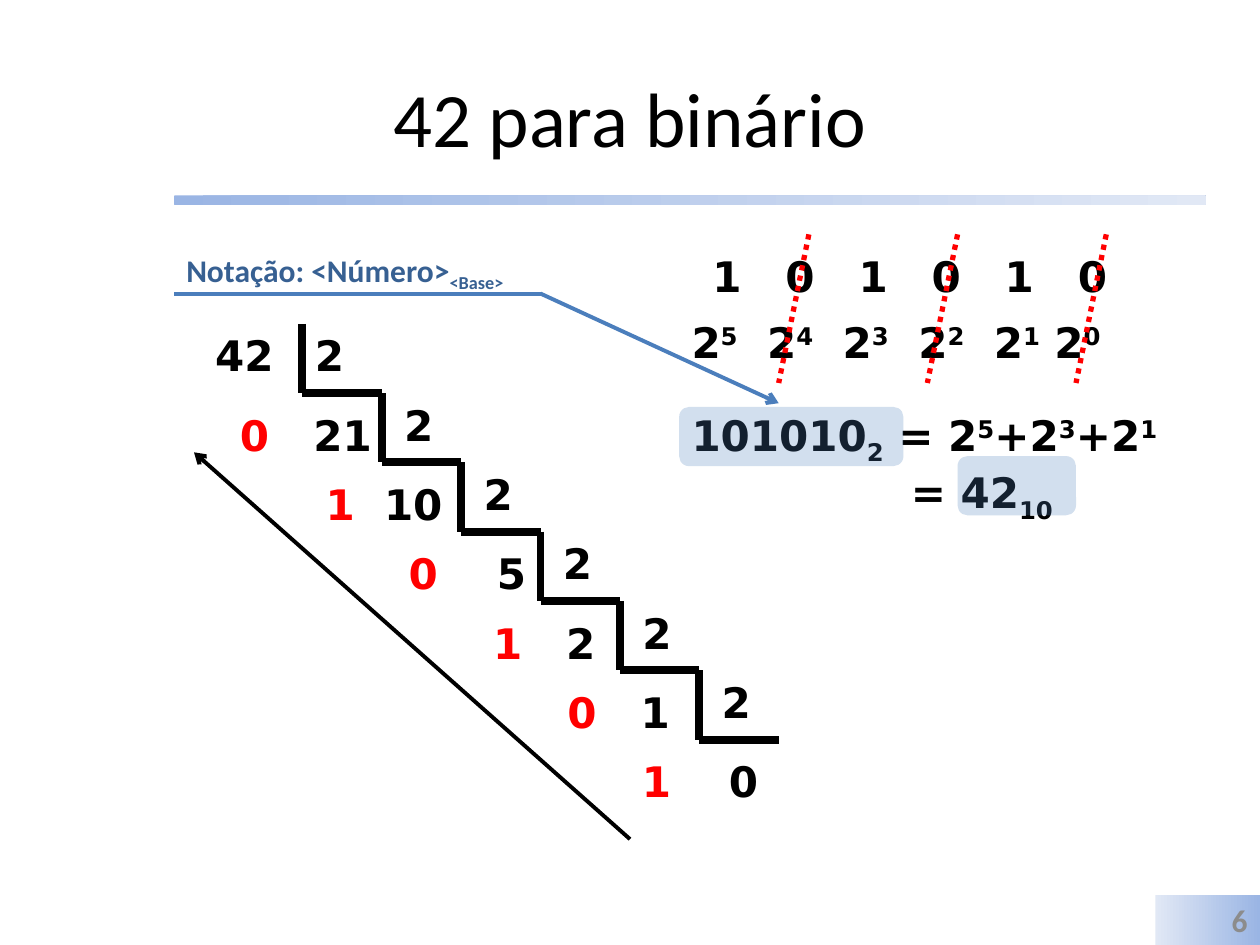
from typing import NamedTuple

from lxml.etree import SubElement
from pptx import Presentation
from pptx.dml.color import RGBColor
from pptx.enum.dml import MSO_LINE
from pptx.enum.shapes import MSO_CONNECTOR, MSO_SHAPE
from pptx.enum.text import MSO_ANCHOR, PP_ALIGN
from pptx.oxml.ns import qn
from pptx.util import Inches, Pt

BLACK, RED, BLUE = "000000", "FF0000", "4F81BD"
DARK_BLUE, LINE_BLUE = "376092", "4B7EBC"
BAR_DARK, BAR_LIGHT = "9AB5E4", "E1E8F5"
BODY_FONT, TITLE_FONT = "DejaVu Sans", "Calibri"

# Staircase grid: each division moves one column right and one row down
STAIR_LEFT, STAIR_TOP = 2.4, 2.57
COLUMN, ROW = 0.63, 0.55
TEXT_HEIGHT = 0.5


class Box(NamedTuple):
    left: float
    top: float
    width: float
    height: float


class Run(NamedTuple):
    text: str
    baseline: int = 0  # percent of the text size


class Division(NamedTuple):
    remainder: str
    remainder_center: float
    quotient: str
    quotient_center: float


DIVISIONS = [
    Division("0", 2.02, "21", 2.72),
    Division("1", 2.7, "10", 3.28),
    Division("0", 3.36, "5", 4.06),
    Division("1", 4.03, "2", 4.61),
    Division("0", 4.62, "1", 5.2),
    Division("1", 5.21, "0", 5.9),
]


def color(value: str) -> RGBColor:
    return RGBColor.from_string(value)


def fill_paragraph(paragraph, runs: list[Run], size: float, fill: str,
                   font: str, bold: bool, align) -> None:
    paragraph.alignment = align
    paragraph.font.size = Pt(size)
    paragraph.font.name = font
    paragraph.font.bold = bold
    paragraph.font.color.rgb = color(fill)
    for part in runs:
        run = paragraph.add_run()
        run.text = part.text
        if part.baseline:
            run.font._element.set("baseline", str(part.baseline * 1000))


def add_text(slide, box: Box, *lines: list[Run], size: float = 24,
             fill: str = BLACK, font: str = BODY_FONT, bold: bool = True,
             align=PP_ALIGN.LEFT, anchor=MSO_ANCHOR.TOP, wrap: bool = True):
    shape = slide.shapes.add_textbox(*map(Inches, box))
    frame = shape.text_frame
    frame.word_wrap = wrap
    frame.vertical_anchor = anchor
    for index, runs in enumerate(lines):
        paragraph = frame.add_paragraph() if index else frame.paragraphs[0]
        fill_paragraph(paragraph, runs, size, fill, font, bold, align)
    return shape


def add_centered(slide, text: str, center: float, top: float, fill: str = BLACK) -> None:
    width = 0.8
    add_text(slide, Box(center - width / 2, top, width, TEXT_HEIGHT), [Run(text)],
             fill=fill, align=PP_ALIGN.CENTER)


def add_block(slide, kind, box: Box):
    shape = slide.shapes.add_shape(kind, *map(Inches, box))
    shape.shadow.inherit = False
    shape.line.fill.background()
    return shape


def add_gradient(slide, kind, box: Box, start: str, end: str):
    shape = add_block(slide, kind, box)
    shape.fill.gradient()
    shape.fill.gradient_angle = 0
    for stop, value in zip(shape.fill.gradient_stops, (start, end)):
        stop.color.rgb = color(value)
    return shape


def add_highlight(slide, box: Box) -> None:
    shape = add_block(slide, MSO_SHAPE.ROUNDED_RECTANGLE, box)
    shape.fill.solid()
    shape.fill.fore_color.rgb = color(BLUE)
    tint = shape._element.spPr.find(qn("a:solidFill"))[0]
    SubElement(tint, qn("a:alpha")).set("val", "25000")


def add_line(slide, start: tuple[float, float], end: tuple[float, float],
             fill: str, width: float, arrow: bool = False, dash=None) -> None:
    line = slide.shapes.add_connector(MSO_CONNECTOR.STRAIGHT, *map(Inches, start + end))
    line.line.color.rgb = color(fill)
    line.line.width = Pt(width)
    if dash is not None:
        line.line.dash_style = dash
    if arrow:
        SubElement(line.line._get_or_add_ln(), qn("a:tailEnd")).set("type", "arrow")
    SubElement(line._element.spPr, qn("a:effectLst"))


def draw_frame(slide) -> None:
    add_gradient(slide, MSO_SHAPE.ROUNDED_RECTANGLE, Box(1.38, 1.55, 8.19, 0.08),
                 BAR_DARK, BAR_LIGHT)
    add_text(slide, Box(0.5, 0.3, 9, 1.25), [Run("42 para binário")], size=44,
             font=TITLE_FONT, bold=False, align=PP_ALIGN.CENTER, anchor=MSO_ANCHOR.MIDDLE)
    number = add_gradient(slide, MSO_SHAPE.RECTANGLE, Box(9.17, 7.1, 0.83, 0.4),
                          BAR_LIGHT, BAR_DARK)
    number.text_frame.vertical_anchor = MSO_ANCHOR.MIDDLE
    fill_paragraph(number.text_frame.paragraphs[0], [Run("6")], 18, "8C8C8C",
                   TITLE_FONT, True, PP_ALIGN.RIGHT)


def draw_divisions(slide) -> None:
    add_text(slide, Box(1.61, STAIR_TOP, 0.79, TEXT_HEIGHT), [Run("42")])
    for step, division in enumerate(DIVISIONS):
        left, top = STAIR_LEFT + step * COLUMN, STAIR_TOP + step * ROW
        corner = (left, top + ROW)
        add_line(slide, (left, top), corner, BLACK, 4.5)
        add_line(slide, corner, (left + COLUMN, top + ROW), BLACK, 4.5)
        inset = 0.08 if step else 0
        add_text(slide, Box(left + inset, top, 0.47, TEXT_HEIGHT), [Run("2")])
        result_top = top + ROW + 0.08
        add_centered(slide, division.remainder, division.remainder_center, result_top, RED)
        add_centered(slide, division.quotient, division.quotient_center, result_top)
    # Reading order of the remainders
    add_line(slide, (5, 6.66), (1.54, 3.59), BLACK, 2.25, arrow=True)


def draw_conversion(slide) -> None:
    # Binary digits above their powers of two
    for index, digit in enumerate("101010"):
        power = 5 - index
        add_centered(slide, digit, 5.77 + 0.58 * index, 1.94)
        left = 5.39 + 0.6 * index - (0 if power else 0.12)
        add_text(slide, Box(left, 2.46, 0.7, TEXT_HEIGHT), [Run("2"), Run(str(power), 30)])

    sum_text = add_text(
        slide, Box(5.39, 3.2, 4.17, 0.95),
        [Run("101010"), Run("2", -25), Run(" = 2"), Run("5", 30),
         Run("+2"), Run("3", 30), Run("+2"), Run("1", 30)],
        [Run("= 42"), Run("10", -25)])
    # Second line starts under the equals sign
    properties = sum_text.text_frame.paragraphs[1]._p.get_or_add_pPr()
    properties.set("marL", str(Inches(1.74)))

    # Strike out the powers multiplied by zero
    for index in range(3):
        top_x = 6.42 + 1.18 * index
        add_line(slide, (top_x, 1.86), (top_x - 0.24, 3.04), RED, 3,
                 dash=MSO_LINE.ROUND_DOT)
    add_highlight(slide, Box(7.6, 3.62, 0.94, 0.47))
    add_highlight(slide, Box(5.39, 3.23, 1.78, 0.47))


def draw_notation(slide) -> None:
    bend = (4.29, 2.33)
    add_line(slide, bend, (6.18, 3.2), LINE_BLUE, 2.25, arrow=True)
    add_line(slide, bend, (1.38, 2.33), LINE_BLUE, 2.25)
    add_text(slide, Box(1.38, 1.94, 2.81, 0.4),
             [Run("Notação: <Número>"), Run("<Base>", -25)],
             size=18, fill=DARK_BLUE, font=TITLE_FONT, wrap=False)


def main() -> None:
    presentation = Presentation()
    presentation.slide_width, presentation.slide_height = Inches(10), Inches(7.5)
    slide = presentation.slides.add_slide(presentation.slide_layouts[6])
    draw_frame(slide)
    draw_divisions(slide)
    draw_conversion(slide)
    draw_notation(slide)
    presentation.save("out.pptx")


if __name__ == "__main__":
    main()
